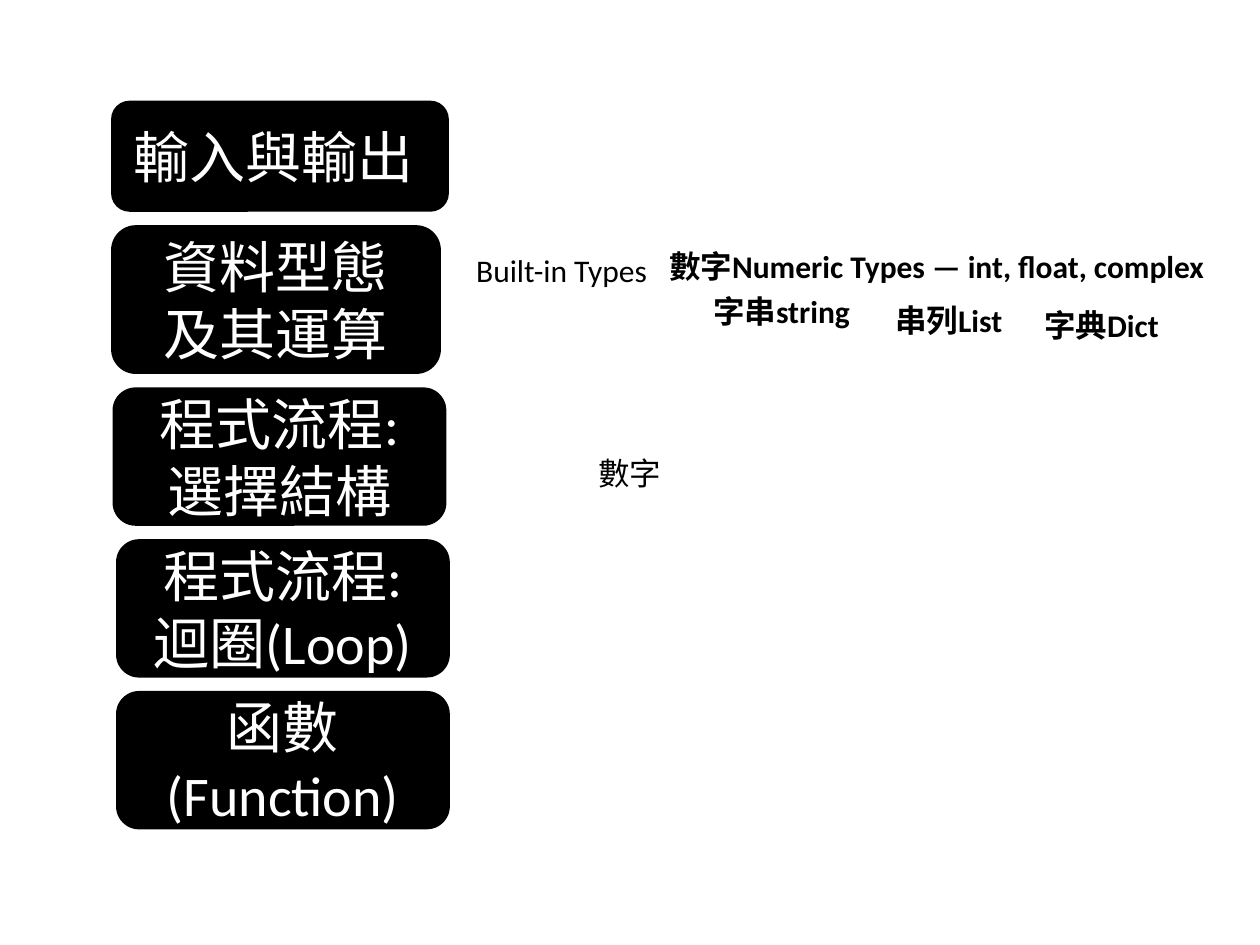
from dataclasses import dataclass

from pptx import Presentation
from pptx import util as u
from pptx.dml.color import RGBColor
from pptx.enum import shapes, text


@dataclass(frozen=True)
class Theme:
    font: str = "Calibri"
    dark: RGBColor = RGBColor(0, 0, 0)
    light: RGBColor = RGBColor(255, 255, 255)
    topic_size: int = 32
    note_size: int = 18


THEME = Theme()
TOPIC_GAP = 0.27
NOTE_HEIGHT = 1.02

# Topic: wording, indent, width, height (cm)
TOPICS = [
    ("輸入與輸出 ", 0, 6.81, 2.24),
    ("資料型態\n及其運算", 0, 6.65, 3),
    ("程式流程:\n選擇結構", 0.03, 6.73, 2.79),
    ("程式流程:\n迴圈(Loop)", 0.1, 6.73, 2.79),
    ("函數(Function)", 0.1, 6.73, 2.79),
]

# Note: wording, x, y, width (cm), is a data type
NOTES = [
    ("數字Numeric Types — int, float, complex", 3.35, 0, 12.37, True),
    ("字串string", 4.45, 0.91, 3.91, True),
    ("串列List", 7.82, 1.09, 3.91, True),
    ("字典Dict", 10.9, 1.19, 3.91, True),
    ("數字", 2.46, 4.17, 1.8, False),
    ("Built-in Types", 0, 0.08, 4.01, False),
]


def write(frame, wording, size, color, align, bold=False):
    frame.text = wording
    for paragraph in frame.paragraphs:
        paragraph.alignment = align
        for run in paragraph.runs:
            run.font.name = THEME.font
            run.font.size = u.Pt(size)
            run.font.bold = bold
            run.font.color.rgb = color


def add_topics(slide, left, top):
    """Stack the course topics downwards with an equal gap."""
    for wording, indent, width, height in TOPICS:
        topic = slide.shapes.add_shape(
            shapes.MSO_SHAPE.ROUNDED_RECTANGLE,
            u.Cm(left + indent), u.Cm(top), u.Cm(width), u.Cm(height))
        topic.shadow.inherit = False
        topic.fill.solid()
        topic.fill.fore_color.rgb = THEME.dark
        topic.line.fill.background()
        topic.text_frame.word_wrap = True
        topic.text_frame.vertical_anchor = text.MSO_ANCHOR.MIDDLE
        write(topic.text_frame, wording, THEME.topic_size, THEME.light,
              text.PP_ALIGN.CENTER)
        top += height + TOPIC_GAP


def add_notes(slide, left, top):
    """Place the notes on built-in types beside the topics."""
    for wording, x, y, width, is_type in NOTES:
        note = slide.shapes.add_textbox(
            u.Cm(left + x), u.Cm(top + y), u.Cm(width), u.Cm(NOTE_HEIGHT))
        frame = note.text_frame
        frame.word_wrap = is_type
        frame.auto_size = text.MSO_AUTO_SIZE.SHAPE_TO_FIT_TEXT
        align = text.PP_ALIGN.CENTER if is_type else text.PP_ALIGN.LEFT
        write(frame, wording, THEME.note_size, THEME.dark, align, is_type)


def main():
    deck = Presentation()
    deck.slide_width, deck.slide_height = u.Cm(25.4), u.Cm(19.05)
    slide = deck.slides.add_slide(deck.slide_layouts[6])
    add_topics(slide, 2.24, 2.03)
    add_notes(slide, 9.35, 4.85)
    deck.save("out.pptx")


if __name__ == "__main__":
    main()
